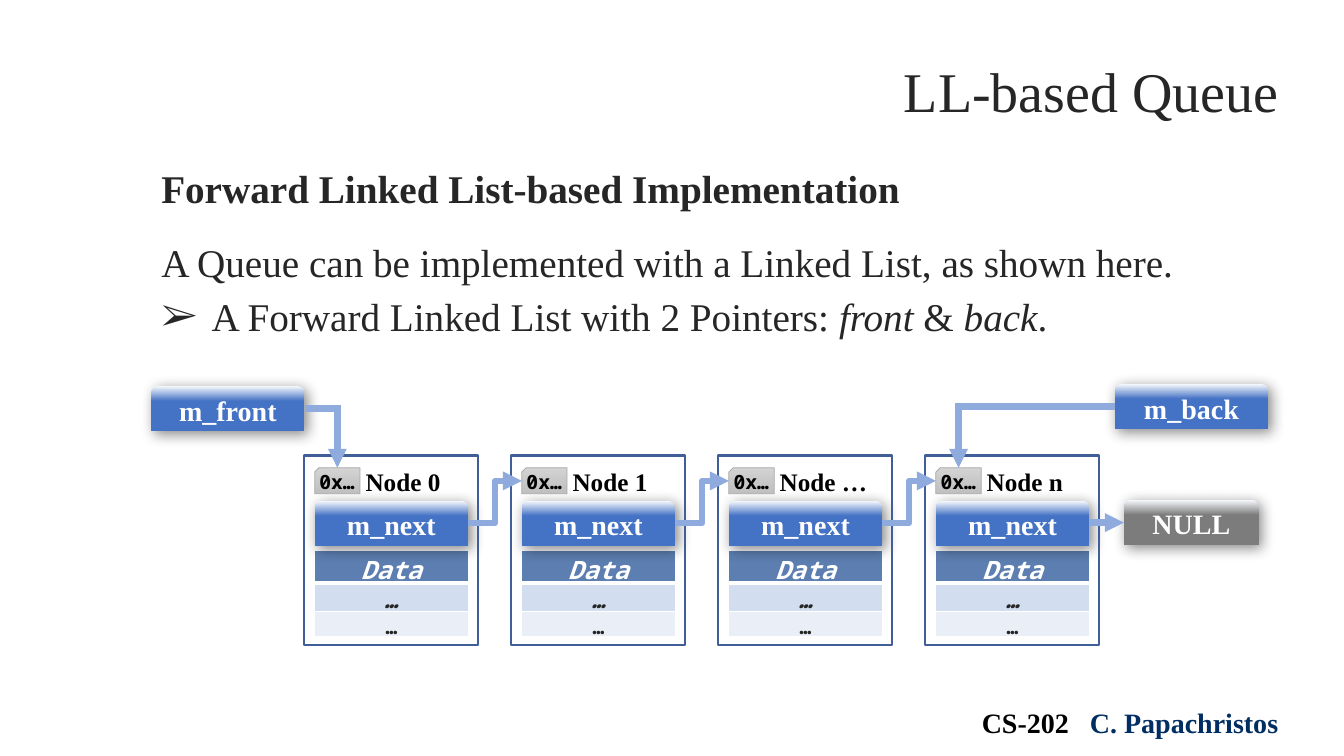
import pptx
import pptx.dml.color
import pptx.enum.shapes
import pptx.enum.text
import pptx.oxml
import pptx.oxml.ns
import pptx.util
from lxml import etree

Pt = pptx.util.Pt
RGBColor = pptx.dml.color.RGBColor
qn = pptx.oxml.ns.qn
Shape = pptx.enum.shapes.MSO_SHAPE
Connector = pptx.enum.shapes.MSO_CONNECTOR
Align = pptx.enum.text.PP_ALIGN
Anchor = pptx.enum.text.MSO_ANCHOR

INK = RGBColor(0x26, 0x26, 0x26)
BLACK = RGBColor(0, 0, 0)
WHITE = RGBColor(0xFF, 0xFF, 0xFF)
NAVY = RGBColor(0x00, 0x2E, 0x62)
GLOSS = RGBColor(0xF7, 0xFA, 0xFD)
BLUE = RGBColor(0x44, 0x72, 0xC4)
GRAY = RGBColor(0x7C, 0x7C, 0x7C)
CHIP_TOP = RGBColor(0xD2, 0xD2, 0xD2)
CHIP_BOTTOM = RGBColor(0xC0, 0xC0, 0xC0)
CHIP_EDGE = RGBColor(0xA5, 0xA5, 0xA5)
FRAME = RGBColor(0x40, 0x5F, 0x98)
ARROW = RGBColor(0x8F, 0xAA, 0xDC)
DATA_HEAD = RGBColor(0x5C, 0x7E, 0xB0)
DATA_DARK = RGBColor(0xD2, 0xDE, 0xEF)
DATA_LIGHT = RGBColor(0xEA, 0xEF, 0xF7)

SERIF = "Times New Roman"
MONO = "Noto Sans Mono"
SERIF_BOLD = {"name": SERIF, "bold": True}
MONO_BOLD = {"name": MONO, "bold": True}

NODE_NAMES = ("Node 0", "Node 1", "Node …", "Node n")
NODE_LEFT, NODE_STEP, NODE_TOP = 217.3, 147.9, 325.4
BOX_WIDTH, BOX_HEIGHT = 109.6, 32.4
CHIP_WIDTH, CHIP_TOP_EDGE, CHIP_HEIGHT = 32.4, 334.1, 18.7
LINE_WIDTH = 4.5


def set_values(target, values):
    """Set each attribute named in a dict of format values."""
    for name, value in values.items():
        setattr(target, name, value)


def add_run(paragraph, text, size, color, values):
    """Add a formatted run to a paragraph."""
    run = paragraph.add_run()
    run.text = text
    set_values(run.font, {"size": Pt(size), **values})
    run.font.color.rgb = color


def add_label(slide, text, box, size, color, values, align=Align.LEFT):
    """Add a one-line text box."""
    shape = slide.shapes.add_textbox(*map(Pt, box))
    shape.text_frame.word_wrap = False
    paragraph = shape.text_frame.paragraphs[0]
    paragraph.alignment = align
    add_run(paragraph, text, size, color, values)


def place(shape, left, top, width, height):
    """Move and size a placeholder."""
    set_values(shape, {"left": Pt(left), "top": Pt(top),
                       "width": Pt(width), "height": Pt(height)})


def fill_gradient(shape, *stops):
    """Fill a shape from top to bottom with two (position, colour) stops."""
    shape.fill.gradient()
    shape.fill.gradient_angle = 270
    for gradient_stop, (position, color) in zip(shape.fill.gradient_stops, stops):
        gradient_stop.color.rgb = color
        gradient_stop.position = position


def add_shadow(shape):
    """Give a shape a soft shadow toward the lower right."""
    effects = shape._element.spPr.find(qn("a:effectLst"))
    shadow = etree.SubElement(effects, qn("a:outerShdw"), blurRad=str(Pt(10)),
                              dist=str(Pt(3)), dir="2700000", algn="tl", rotWithShape="0")
    color = etree.SubElement(shadow, qn("a:srgbClr"), val=str(BLACK))
    etree.SubElement(color, qn("a:alpha"), val="45000")


def add_pointer(slide, text, left, top, width=BOX_WIDTH, color=BLUE):
    """Add a glossy pointer box."""
    shape = slide.shapes.add_shape(Shape.ROUND_2_SAME_RECTANGLE, Pt(left), Pt(top),
                                   Pt(width), Pt(BOX_HEIGHT))
    fill_gradient(shape, (0, GLOSS), (0.33, color))
    shape.line.fill.background()
    shape.shadow.inherit = False
    add_shadow(shape)
    shape.text_frame.vertical_anchor = Anchor.MIDDLE
    paragraph = shape.text_frame.paragraphs[0]
    paragraph.alignment = Align.CENTER
    add_run(paragraph, text, 20, WHITE, SERIF_BOLD)


def add_border(cell, side, width):
    """Add a white border to one side of a cell."""
    line = etree.SubElement(cell._tc.get_or_add_tcPr(), qn("a:ln" + side), w=str(Pt(width)))
    fill = etree.SubElement(line, qn("a:solidFill"))
    etree.SubElement(fill, qn("a:srgbClr"), val=str(WHITE))


def add_data_table(slide, left):
    """Add the data rows of a node."""
    rows = (("Data", 19.6, 18, WHITE, DATA_HEAD, True),
            ("…", 17.3, 16, INK, DATA_DARK, True),
            ("…", 15.1, 14, INK, DATA_LIGHT, False))
    table = slide.shapes.add_table(len(rows), 1, Pt(left), Pt(393.1),
                                   Pt(110), Pt(52)).table
    for index, (text, height, size, color, background, italic) in enumerate(rows):
        table.rows[index].height = Pt(height)
        cell = table.cell(index, 0)
        set_values(cell, {"margin_left": Pt(5), "margin_right": Pt(5), "margin_top": 0,
                          "margin_bottom": 0, "vertical_anchor": Anchor.MIDDLE})
        widths = {"L": 1, "R": 1, "T": 3 if index == 1 else 1, "B": 3 if index == 0 else 1}
        for side, width in widths.items():
            add_border(cell, side, width)
        cell.fill.solid()
        cell.fill.fore_color.rgb = background
        paragraph = cell.text_frame.paragraphs[0]
        set_values(paragraph, {"alignment": Align.CENTER, "line_spacing": 1.07})
        add_run(paragraph, text, size, color, {**MONO_BOLD, "italic": italic})


def add_node(slide, name, left):
    """Add one list node: data, next pointer, address chip, frame and name."""
    add_data_table(slide, left + 7.3)
    add_pointer(slide, "m_next", left + 7.5, 357.8)
    chip = slide.shapes.add_shape(Shape.SNIP_1_RECTANGLE, Pt(left + 7.5), Pt(CHIP_TOP_EDGE),
                                  Pt(CHIP_WIDTH), Pt(CHIP_HEIGHT))
    chip._element.spPr.find(qn("a:xfrm")).set("flipH", "1")
    fill_gradient(chip, (0, CHIP_TOP), (1, CHIP_BOTTOM))
    frame = slide.shapes.add_shape(Shape.RECTANGLE, Pt(left), Pt(NODE_TOP), Pt(124), Pt(135.4))
    frame.fill.background()
    for shape, color, width in ((chip, CHIP_EDGE, 0.5), (frame, FRAME, 1.5)):
        shape.line.color.rgb = color
        shape.line.width = Pt(width)
        shape.shadow.inherit = False
    add_label(slide, "0x…", (left + 3.7, 331.9, 39.6, 24.5), 14, BLACK, MONO_BOLD, Align.CENTER)
    add_label(slide, name, (left + 36.7, 329.8, 84, 28.8), 18, BLACK, SERIF_BOLD)


def add_arrow(slide, begin, end, kind=Connector.STRAIGHT, head=True):
    """Add a thick connector, with an arrowhead unless told otherwise."""
    connector = slide.shapes.add_connector(kind, *map(Pt, (*begin, *end)))
    connector.line.color.rgb = ARROW
    connector.line.width = Pt(LINE_WIDTH)
    if head:
        etree.SubElement(connector.line._get_or_add_ln(), qn("a:tailEnd"), type="triangle")
    etree.SubElement(connector._element.spPr, qn("a:effectLst"))


def add_corner_arrow(slide, begin, end):
    """Add an arrow that runs sideways, then down."""
    (begin_x, begin_y), (end_x, _) = begin, end
    overlap = LINE_WIDTH / 2 if end_x > begin_x else -LINE_WIDTH / 2
    add_arrow(slide, begin, (end_x + overlap, begin_y), head=False)
    add_arrow(slide, (end_x, begin_y), end)


def add_body(body):
    """Fill the body placeholder with the heading, sentence and bullet."""
    place(body, 108, 113.8, 757.4, 200)
    body.text_frame.auto_size = pptx.enum.text.MSO_AUTO_SIZE.NONE
    paragraphs = (
        (0, None, (("Forward Linked List-based Implementation", {"bold": True}),)),
        (19.3, None, (("A Queue can be implemented with a Linked List, as shown here.", {}),)),
        (4.9, "➢", (("A Forward Linked List with 2 Pointers: ", {}), ("front", {"italic": True}),
                    (" & ", {}), ("back", {"italic": True}), (".", {}))))
    for index, (space, bullet, runs) in enumerate(paragraphs):
        frame = body.text_frame
        paragraph = frame.add_paragraph() if index else frame.paragraphs[0]
        set_values(paragraph, {"space_before": Pt(space), "space_after": Pt(0),
                               "line_spacing": 1.0})
        properties = paragraph._p.get_or_add_pPr()
        indent = Pt(36) if bullet else 0
        properties.set("marL", str(indent))
        properties.set("indent", str(-indent))
        if bullet:
            etree.SubElement(properties, qn("a:buFont"), typeface=SERIF)
            etree.SubElement(properties, qn("a:buChar"), char=bullet)
        else:
            etree.SubElement(properties, qn("a:buNone"))
        for text, values in runs:
            add_run(paragraph, text, 28, INK, {"name": SERIF, **values})


def main():
    """Build the queue slide and save it."""
    presentation = pptx.Presentation()
    set_values(presentation, {"slide_width": Pt(960), "slide_height": Pt(540)})
    slide = presentation.slides.add_slide(presentation.slide_layouts[1])
    title, body = slide.placeholders
    place(title, 76.3, 41, 843.9, 51.1)
    title.text_frame.vertical_anchor = Anchor.BOTTOM
    title.text_frame.paragraphs[0].alignment = Align.RIGHT
    add_run(title.text_frame.paragraphs[0], "LL-based Queue", 40, INK, {"name": SERIF})
    add_body(body)
    add_label(slide, "CS-202", (694.2, 500.4, 77, 31.7), 20, BLACK, SERIF_BOLD)
    add_label(slide, "C. Papachristos", (771.4, 500.4, 152, 31.7), 20, NAVY, SERIF_BOLD)

    lefts = [NODE_LEFT + NODE_STEP * index for index in range(len(NODE_NAMES))]
    for name, left in zip(NODE_NAMES, lefts):
        add_node(slide, name, left)
    for left, following in zip(lefts, lefts[1:]):
        add_arrow(slide, (left + 117, 373.8), (following + 7.5, 343.5), Connector.ELBOW)

    add_pointer(slide, "m_front", 108, 275.8)
    add_pointer(slide, "m_back", 796.3, 274.3)
    add_pointer(slide, "NULL", 802.8, 357.1, 96.5, GRAY)
    chip_middle = 7.5 + CHIP_WIDTH / 2
    add_corner_arrow(slide, (217.6, 291.8), (lefts[0] + chip_middle, CHIP_TOP_EDGE))
    add_corner_arrow(slide, (796.3, 290.3), (lefts[-1] + chip_middle, CHIP_TOP_EDGE))
    add_arrow(slide, (lefts[-1] + 117, 373.3), (802.8, 373.3))
    presentation.save("out.pptx")


main()
